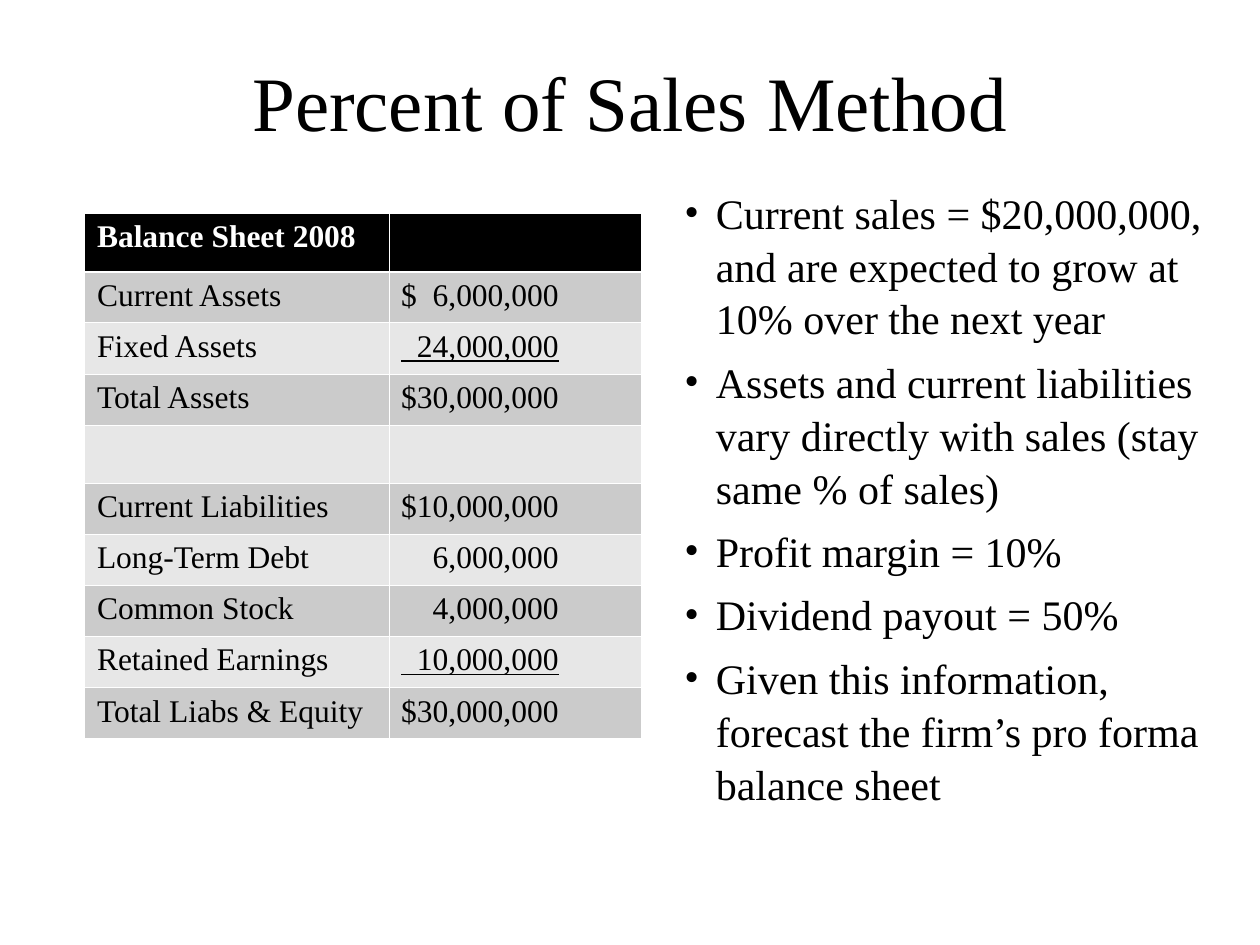
from lxml import etree
from pptx import Presentation
from pptx.dml.color import RGBColor
from pptx.enum import text
from pptx.oxml.ns import qn
from pptx.util import Pt

TITLE = "Percent of Sales Method"
ROWS = [
    ("Balance Sheet 2008", ""),
    ("Current Assets", "$  6,000,000"),
    ("Fixed Assets", "  24,000,000"),
    ("Total Assets", "$30,000,000"),
    ("", ""),
    ("Current Liabilities", "$10,000,000"),
    ("Long-Term Debt", "6,000,000"),
    ("Common Stock", "4,000,000"),
    ("Retained Earnings", "  10,000,000"),
    ("Total Liabs & Equity", "$30,000,000"),
]
SUMMED = {"Fixed Assets", "Retained Earnings"}
POINTS = [
    "Current sales = $20,000,000, and are expected to grow at 10% over the next year",
    "Assets and current liabilities vary directly with sales (stay same % of sales)",
    "Profit margin = 10%",
    "Dividend payout = 50%",
    "Given this information, forecast the firm’s pro forma balance sheet",
]
THEME = {
    "font": "Times New Roman",
    "ink": "000000", "paper": "FFFFFF", "head": "000000",
    "bands": ("E7E7E7", "CBCBCB"),
    "title": 44, "body": 24, "cell": 18,
    "line": 0.45, "rule": 1.47,
}


def style(para, size, ink=THEME["ink"], bold=False, under=False):
    for run in para.runs:
        font = run.font
        font.name, font.size = THEME["font"], Pt(size)
        font.bold, font.underline = bold, under
        font.color.rgb = RGBColor.from_string(ink)


def add_box(slide, left, top, width, height):
    frame = slide.shapes.add_textbox(Pt(left), Pt(top), Pt(width), Pt(height)).text_frame
    frame.word_wrap = True
    return frame


def add_title(slide):
    frame = add_box(slide, 54, 12.24, 612, 90)
    frame.vertical_anchor = text.MSO_ANCHOR.MIDDLE
    frame.text = TITLE
    para = frame.paragraphs[0]
    para.alignment = text.PP_ALIGN.CENTER
    style(para, THEME["title"])


def add_points(slide):
    frame = add_box(slide, 312, 102, 390, 426)
    frame.text = "\n".join(POINTS)
    for para in frame.paragraphs:
        para.space_before = Pt(6)
        para.line_spacing = 1.05
        style(para, THEME["body"])
        props = para._p.get_or_add_pPr()
        props.set("marL", str(Pt(90)))
        props.set("indent", str(Pt(-18)))
        etree.SubElement(props, qn("a:buFont")).set("typeface", THEME["font"])
        etree.SubElement(props, qn("a:buChar")).set("char", "•")


def set_edges(cell, row):
    props = cell._tc.get_or_add_tcPr()
    heavy = {0: "B", 1: "T"}.get(row)
    for spot, side in enumerate("LRTB"):
        edge = etree.Element(qn(f"a:ln{side}"))
        edge.set("w", str(Pt(THEME["rule" if side == heavy else "line"])))
        fill = etree.SubElement(edge, qn("a:solidFill"))
        etree.SubElement(fill, qn("a:srgbClr")).set("val", THEME["paper"])
        props.insert(spot, edge)


def add_sheet(slide):
    widths = (174, 144)
    heights = [29.2 if all(row) else 33.3 for row in ROWS]
    table = slide.shapes.add_table(
        len(ROWS), len(widths), Pt(48.24), Pt(122), Pt(sum(widths)), Pt(sum(heights))
    ).table
    for col, width in zip(table.columns, widths):
        col.width = Pt(width)
    for r, (row, height) in enumerate(zip(ROWS, heights)):
        table.rows[r].height = Pt(height)
        for c, word in enumerate(row):
            cell = table.cell(r, c)
            cell.text = word
            cell.fill.solid()
            shade = THEME["bands"][r % 2] if r else THEME["head"]
            cell.fill.fore_color.rgb = RGBColor.from_string(shade)
            set_edges(cell, r)
            para = cell.text_frame.paragraphs[0]
            if c:
                para.alignment = text.PP_ALIGN.RIGHT
                cell.margin_left, cell.margin_right = Pt(4), Pt(47)
            style(para, THEME["cell"], THEME["ink" if r else "paper"],
                  r == 0, c == 1 and row[0] in SUMMED)


def main():
    deck = Presentation()
    deck.slide_width, deck.slide_height = Pt(720), Pt(540)
    slide = deck.slides.add_slide(deck.slide_layouts[6])
    add_title(slide)
    add_points(slide)
    add_sheet(slide)
    deck.save("out.pptx")


if __name__ == "__main__":
    main()
